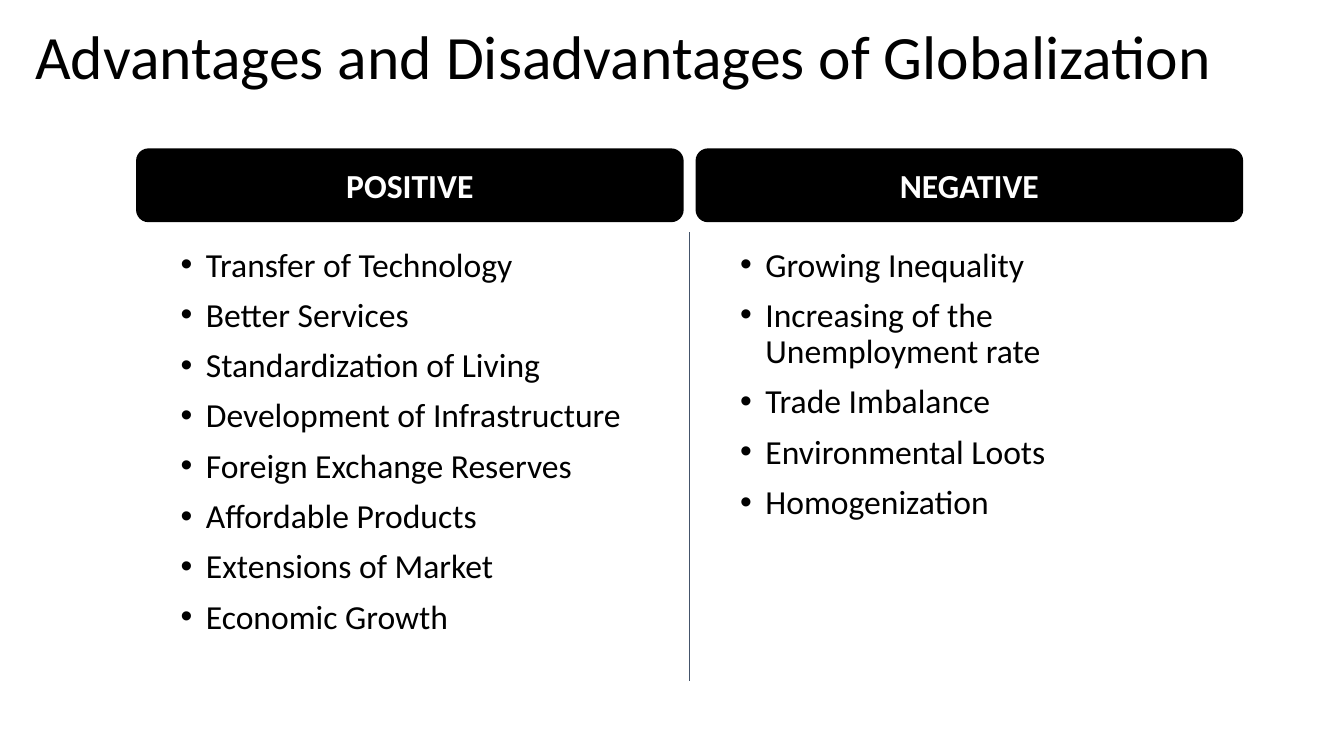
from dataclasses import dataclass

from lxml.etree import SubElement
from pptx import Presentation
from pptx.dml.color import RGBColor
from pptx.enum.shapes import MSO_CONNECTOR as Connector, MSO_SHAPE as Preset
from pptx.enum.text import MSO_ANCHOR as Anchor, MSO_AUTO_SIZE as AutoSize, PP_ALIGN as Align
from pptx.oxml.ns import qn
from pptx.slide import Slide
from pptx.text.text import TextFrame, _Paragraph as Paragraph
from pptx.util import Cm, Pt

COLORS = {"black": "000000", "white": "FFFFFF", "divider": "44546A"}
FONT = "Calibri"
BODY_SIZE = 24

# Column geometry in centimetres
FIRST_LEFT, COLUMN_STEP = 3.43, 14.1
HEADER_TOP, HEADER_WIDTH, HEADER_HEIGHT = 3.74, 13.8, 1.86
LIST_INSET, LIST_TOP, LIST_WIDTH = 1.12, 6.25, 11.56
DIVIDER_X, DIVIDER_TOP, DIVIDER_BOTTOM = 17.38, 5.85, 17.17
BULLET_INDENT = 0.64


@dataclass
class Column:
    heading: str
    points: list[str]
    list_height: float


COLUMNS = [
    Column("POSITIVE", [
        "Transfer of Technology",
        "Better Services",
        "Standardization of Living",
        "Development of Infrastructure",
        "Foreign Exchange Reserves",
        "Affordable Products",
        "Extensions of Market",
        "Economic Growth",
    ], 9.88),
    Column("NEGATIVE", [
        "Growing Inequality",
        "Increasing of the Unemployment rate",
        "Trade Imbalance",
        "Environmental Loots",
        "Homogenization",
    ], 6.96),
]


def style_text(para: Paragraph, size: float, color: str, bold: bool = False) -> None:
    for span in para.runs:
        span.font.name = FONT
        span.font.size = Pt(size)
        span.font.bold = bold
        span.font.color.rgb = RGBColor.from_string(COLORS[color])


def add_bullet(para: Paragraph) -> None:
    properties = para._p.get_or_add_pPr()
    properties.set("marL", str(Cm(BULLET_INDENT)))
    properties.set("indent", str(-Cm(BULLET_INDENT)))
    SubElement(properties, qn("a:buFont"), typeface="Arial")
    SubElement(properties, qn("a:buChar"), char="•")


def clear_margins(frame: TextFrame) -> None:
    frame.margin_left = frame.margin_right = 0
    frame.margin_top = frame.margin_bottom = 0


def draw_title(page: Slide, title: str) -> None:
    box = page.shapes.add_textbox(Cm(0.64), Cm(0.53), Cm(32.59), Cm(1.85))
    box.text_frame.word_wrap = True
    box.text_frame.text = title
    para = box.text_frame.paragraphs[0]
    para.line_spacing = 0.9
    style_text(para, 44, "black")


def draw_header(page: Slide, heading: str, left: float) -> None:
    box = page.shapes.add_shape(Preset.ROUNDED_RECTANGLE, Cm(left), Cm(HEADER_TOP),
                                Cm(HEADER_WIDTH), Cm(HEADER_HEIGHT))
    box.shadow.inherit = False
    box.fill.solid()
    box.fill.fore_color.rgb = RGBColor.from_string(COLORS["black"])
    box.line.fill.background()
    box.text_frame.text = heading
    box.text_frame.vertical_anchor = Anchor.MIDDLE
    para = box.text_frame.paragraphs[0]
    para.alignment = Align.CENTER
    style_text(para, BODY_SIZE, "white", bold=True)


def draw_points(page: Slide, column: Column, left: float) -> None:
    box = page.shapes.add_textbox(Cm(left), Cm(LIST_TOP), Cm(LIST_WIDTH), Cm(column.list_height))
    frame = box.text_frame
    frame.word_wrap = True
    frame.auto_size = AutoSize.SHAPE_TO_FIT_TEXT
    clear_margins(frame)
    frame.text = "\n".join(column.points)
    for para in frame.paragraphs:
        para.line_spacing = 0.9
        para.space_before = Pt(10)
        add_bullet(para)
        style_text(para, BODY_SIZE, "black")


def draw_divider(page: Slide) -> None:
    divider = page.shapes.add_connector(Connector.STRAIGHT, Cm(DIVIDER_X), Cm(DIVIDER_TOP),
                                        Cm(DIVIDER_X), Cm(DIVIDER_BOTTOM))
    divider.line.color.rgb = RGBColor.from_string(COLORS["divider"])
    divider.line.width = Pt(0.5)
    SubElement(divider._element.spPr, qn("a:effectLst"))


def main() -> None:
    deck = Presentation()
    deck.slide_width, deck.slide_height = Cm(33.87), Cm(19.05)
    page = deck.slides.add_slide(deck.slide_layouts[6])

    draw_title(page, "Advantages and Disadvantages of Globalization")

    # Headers, divider and bullet lists
    for index, column in enumerate(COLUMNS):
        left = FIRST_LEFT + index * COLUMN_STEP
        draw_header(page, column.heading, left)
        draw_points(page, column, left + LIST_INSET)
    draw_divider(page)

    deck.save("out.pptx")


if __name__ == "__main__":
    main()
